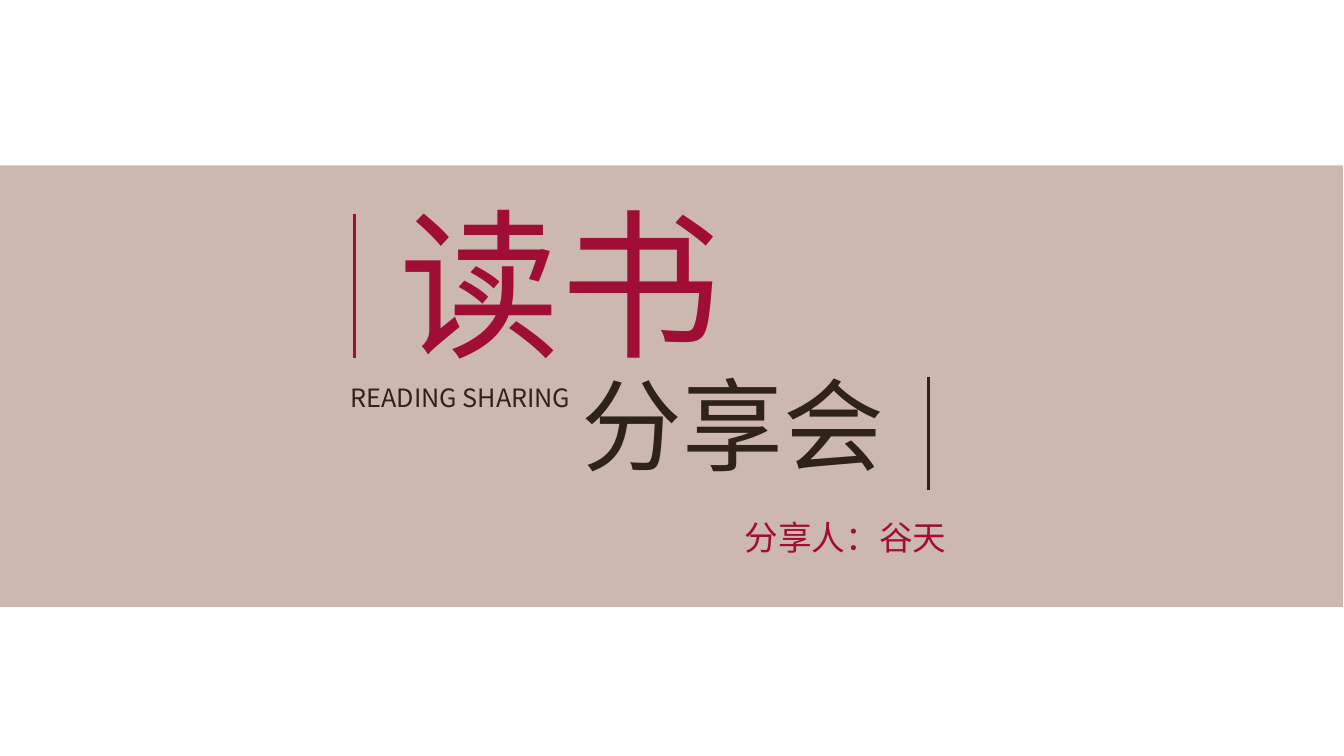
import pptx
import pptx.dml.color
import pptx.enum.lang
import pptx.enum.shapes
import pptx.enum.text
import pptx.oxml
import pptx.oxml.ns
import pptx.util
from lxml import etree

Pt = pptx.util.Pt
qn = pptx.oxml.ns.qn

SLIDE_SIZE = (960, 540)
CRIMSON, BROWN, ROSE = "A00E35", "2F2218", "BDA396"
CHINESE, ENGLISH = "Noto Sans CJK SC", "Noto Sans CJK JP"
BAND = (-0.72, 118.08, 960, 315.36)
BAND_OPACITY = 77
HEADINGS = [
    ("读书", (277.92, 128.16, 246.96, 146.88), 115, CHINESE, CRIMSON),
    ("分享会", (408.24, 255.6, 232.56, 94.32), 72, CHINESE, BROWN),
]
CAPTIONS = [
    ("READING SHARING", (243.36, 269.28, 176.4, 28.8), 18, ENGLISH, BROWN),
    ("分享人：谷天", (524.88, 365.76, 158.4, 36), 24, CHINESE, CRIMSON),
]
RULES = [
    (253.44, 152.64, 255.6, CRIMSON),
    (663.12, 269.28, 349.92, BROWN),
]
FRAME_FORMAT = {
    "word_wrap": False,
    "auto_size": pptx.enum.text.MSO_AUTO_SIZE.SHAPE_TO_FIT_TEXT,
    "vertical_anchor": pptx.enum.text.MSO_ANCHOR.TOP,
}
PARAGRAPH_FORMAT = {
    "alignment": pptx.enum.text.PP_ALIGN.LEFT,
    "space_before": Pt(0),
    "line_spacing": 1.0,
}
LANGUAGES = {
    CHINESE: pptx.enum.lang.MSO_LANGUAGE_ID.SIMPLIFIED_CHINESE,
    ENGLISH: pptx.enum.lang.MSO_LANGUAGE_ID.ENGLISH_US,
}


def color(value):
    return pptx.dml.color.RGBColor.from_string(value)


def apply(target, values):
    for name, value in values.items():
        setattr(target, name, value)


def write(shape, text, box, size, typeface, hue):
    apply(shape, dict(zip(("left", "top", "width", "height"), map(Pt, box))))
    frame = shape.text_frame
    apply(frame, FRAME_FORMAT)
    paragraph = frame.paragraphs[0]
    apply(paragraph, PARAGRAPH_FORMAT)
    run = paragraph.add_run()
    run.text = text
    apply(run.font, {"name": typeface, "size": Pt(size), "bold": False,
                     "language_id": LANGUAGES[typeface]})
    run.font.color.rgb = color(hue)
    for latin in shape.element.iter(qn("a:latin")):
        east_asian = pptx.oxml.parse_xml(
            f'<a:ea {pptx.oxml.ns.nsdecls("a")} typeface="{typeface}"/>')
        latin.addnext(east_asian)


def add_band(slide):
    band = slide.shapes.add_shape(
        pptx.enum.shapes.MSO_SHAPE.RECTANGLE, *map(Pt, BAND))
    band.shadow.inherit = False
    band.fill.solid()
    band.fill.fore_color.rgb = color(ROSE)
    band.line.fill.background()
    fill_color = next(band.element.iter(qn("a:srgbClr")))
    etree.SubElement(fill_color, qn("a:alpha"), val=str(BAND_OPACITY * 1000))
    slide.shapes.title.element.addprevious(band.element)


def add_rule(slide, x, top, bottom, hue):
    rule = slide.shapes.add_connector(
        pptx.enum.shapes.MSO_CONNECTOR.STRAIGHT,
        Pt(x), Pt(top), Pt(x), Pt(bottom))
    rule.line.color.rgb = color(hue)
    rule.line.width = Pt(2)
    etree.SubElement(rule.element.spPr, qn("a:effectLst"))


def main():
    presentation = pptx.Presentation()
    presentation.slide_width, presentation.slide_height = map(Pt, SLIDE_SIZE)
    slide = presentation.slides.add_slide(presentation.slide_layouts[0])
    add_band(slide)
    for placeholder, heading in zip(slide.placeholders, HEADINGS):
        write(placeholder, *heading)
    for rule in RULES:
        add_rule(slide, *rule)
    for caption in CAPTIONS:
        write(slide.shapes.add_textbox(*map(Pt, caption[1])), *caption)
    presentation.save("out.pptx")


if __name__ == "__main__":
    main()
